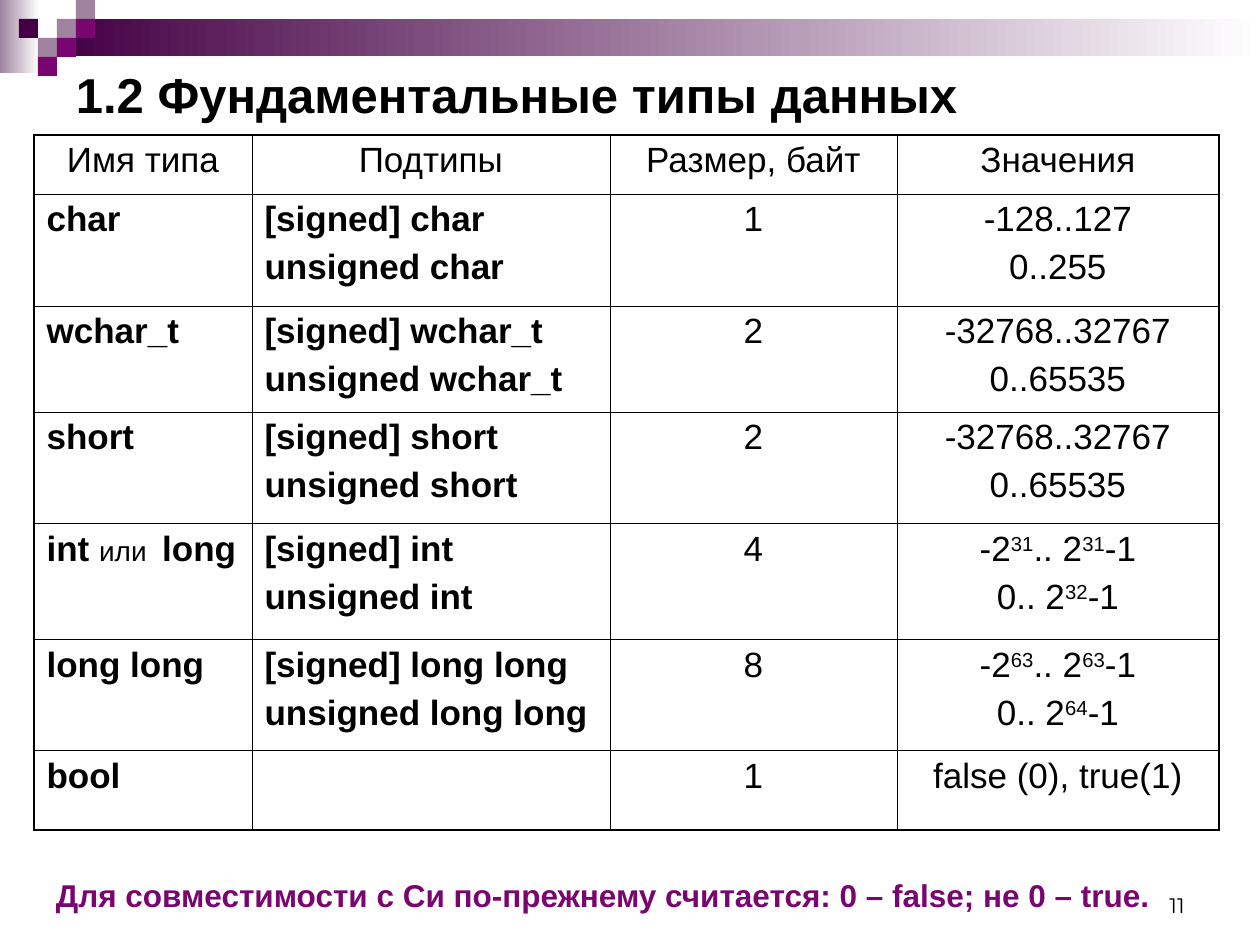
from pptx import Presentation
from pptx.dml.color import RGBColor
from pptx.enum.shapes import MSO_SHAPE
from pptx.enum.text import MSO_ANCHOR, PP_ALIGN
from pptx.oxml import parse_xml
from pptx.oxml.ns import nsdecls
from pptx.util import Emu, Pt

PX = 914400 / 126
RECT = MSO_SHAPE.RECTANGLE
LEFT, CENTER, RIGHT = PP_ALIGN.LEFT, PP_ALIGN.CENTER, PP_ALIGN.RIGHT
TOP, MIDDLE, BOTTOM = MSO_ANCHOR.TOP, MSO_ANCHOR.MIDDLE, MSO_ANCHOR.BOTTOM

BLACK = RGBColor(0x00, 0x00, 0x00)
WHITE = RGBColor(0xFF, 0xFF, 0xFF)
DARK = RGBColor(0x44, 0x00, 0x44)
PURPLE = RGBColor(0x79, 0x05, 0x71)
MAUVE = RGBColor(0x9F, 0x83, 0x9F)

SQUARE = 19
SQUARES = [(3, 1, MAUVE), (4, 0, MAUVE), (4, 1, PURPLE), (2, 2, MAUVE),
           (1, 1, DARK), (3, 2, PURPLE), (2, 3, PURPLE)]  # column, row, colour

BODY = {"name": "Arial", "size": Pt(20), "bold": False}
CODE = BODY | {"bold": True}
SMALL = BODY | {"size": Pt(16)}
TITLE = CODE | {"size": Pt(28)}
NOTE = CODE | {"size": Pt(18)}
NUMBER = {"name": "Montserrat", "size": Pt(12)}

THIN, THICK = Pt(0.45), Pt(1.08)
COLUMNS = [218, 358, 287, 322]
ROW_HEIGHTS = [59, 112, 106, 112, 116, 111, 79]
HEADER = ["Имя типа", "Подтипы", "Размер, байт", "Значения"]
# Text between ^ marks is small in the first column, superscript in the last.
TYPES = [
    ["char", "[signed] char\nunsigned char", "1", "-128..127\n0..255"],
    ["wchar_t", "[signed] wchar_t\nunsigned wchar_t", "2", "-32768..32767\n0..65535"],
    ["short", "[signed] short\nunsigned short", "2", "-32768..32767\n0..65535"],
    ["int ^или  ^long", "[signed] int\nunsigned int", "4",
     "-2^31^.. 2^31^-1\n0.. 2^32^-1"],
    ["long long", "[signed] long long\nunsigned long long", "8",
     "-2^63^.. 2^63^-1\n0.. 2^64^-1"],
    ["bool", "", "1", "false (0), true(1)"],
]


def px(n):
    return Emu(round(n * PX))


def add_run(p, text, font, color=BLACK):
    r = p.add_run()
    r.text = text
    for name, value in font.items():
        setattr(r.font, name, value)
    r.font.color.rgb = color
    return r


def add_text(s, box, text, font, color=BLACK, align=LEFT, anchor=TOP, indent=13):
    tf = s.shapes.add_textbox(*map(px, box)).text_frame
    tf.word_wrap = True
    tf.vertical_anchor = anchor
    tf.margin_left = px(indent)
    p = tf.paragraphs[0]
    p.alignment = align
    add_run(p, text, font, color)


def add_rect(s, box, color, fade=False):
    """Rectangle in one colour, or fading to white on the right."""
    sp = s.shapes.add_shape(RECT, *map(px, box))
    sp.shadow.inherit = False
    sp.line.fill.background()
    if fade:
        sp.fill.gradient()
        sp.fill.gradient_angle = 0
        for stop, rgb in zip(sp.fill.gradient_stops, (color, WHITE)):
            stop.color.rgb = rgb
    else:
        sp.fill.solid()
        sp.fill.fore_color.rgb = color


def set_borders(cell, widths):
    tcPr = cell._tc.get_or_add_tcPr()
    for side, width in widths.items():
        tcPr.append(parse_xml(
            f'<a:ln{side} {nsdecls("a")} w="{width}"><a:solidFill>'
            f'<a:srgbClr val="{BLACK}"/></a:solidFill></a:ln{side}>'))


def fill_cell(cell, text, font, align):
    tf = cell.text_frame
    for i, line in enumerate(text.split("\n")):
        p = tf.add_paragraph() if i else tf.paragraphs[0]
        p.alignment = align
        p.space_before = Pt(5)
        for j, part in enumerate(line.split("^") if line else []):
            marked = j % 2 == 1
            small = marked and font is CODE
            r = add_run(p, part, SMALL if small else font)
            if marked and not small:
                r.font._element.set("baseline", "30000")


def add_type_table(s):
    rows = [HEADER] + TYPES
    last_row, last_col = len(rows) - 1, len(COLUMNS) - 1
    box = (34, 135, sum(COLUMNS), sum(ROW_HEIGHTS))
    table = s.shapes.add_table(len(rows), len(COLUMNS), *map(px, box)).table
    table.first_row = table.horz_banding = False
    for column, width in zip(table.columns, COLUMNS):
        column.width = px(width)
    for row, height in zip(table.rows, ROW_HEIGHTS):
        row.height = px(height)
    for i, texts in enumerate(rows):
        for j, text in enumerate(texts):
            cell = table.cell(i, j)
            edges = {"L": j == 0, "R": j == last_col, "T": i == 0, "B": i == last_row}
            set_borders(cell, {k: THICK if edge else THIN for k, edge in edges.items()})
            cell.fill.background()
            is_code = i > 0 and j < 2
            fill_cell(cell, text, CODE if is_code else BODY, LEFT if is_code else CENTER)


def add_decoration(s):
    add_rect(s, (0, 0, 39, 73), MAUVE, fade=True)
    add_rect(s, (57, 19, 1203, 37), DARK, fade=True)
    for col, row, color in SQUARES:
        add_rect(s, (col * SQUARE, row * SQUARE, SQUARE, SQUARE), color)


def main():
    prs = Presentation()
    prs.slide_width, prs.slide_height = px(1260), px(945)
    s = prs.slides.add_slide(prs.slide_layouts[6])
    add_decoration(s)
    add_text(s, (903, 861, 294, 63), "11", NUMBER, align=RIGHT, anchor=BOTTOM)
    add_text(s, (63, 63, 1134, 62), "1.2 Фундаментальные типы данных", TITLE, anchor=MIDDLE)
    add_type_table(s)
    add_text(s, (34, 870, 1181, 50),
             "Для совместимости с Си по-прежнему считается: 0 – false; не 0 – true.",
             NOTE, PURPLE, indent=22)
    prs.save("out.pptx")


if __name__ == "__main__":
    main()
